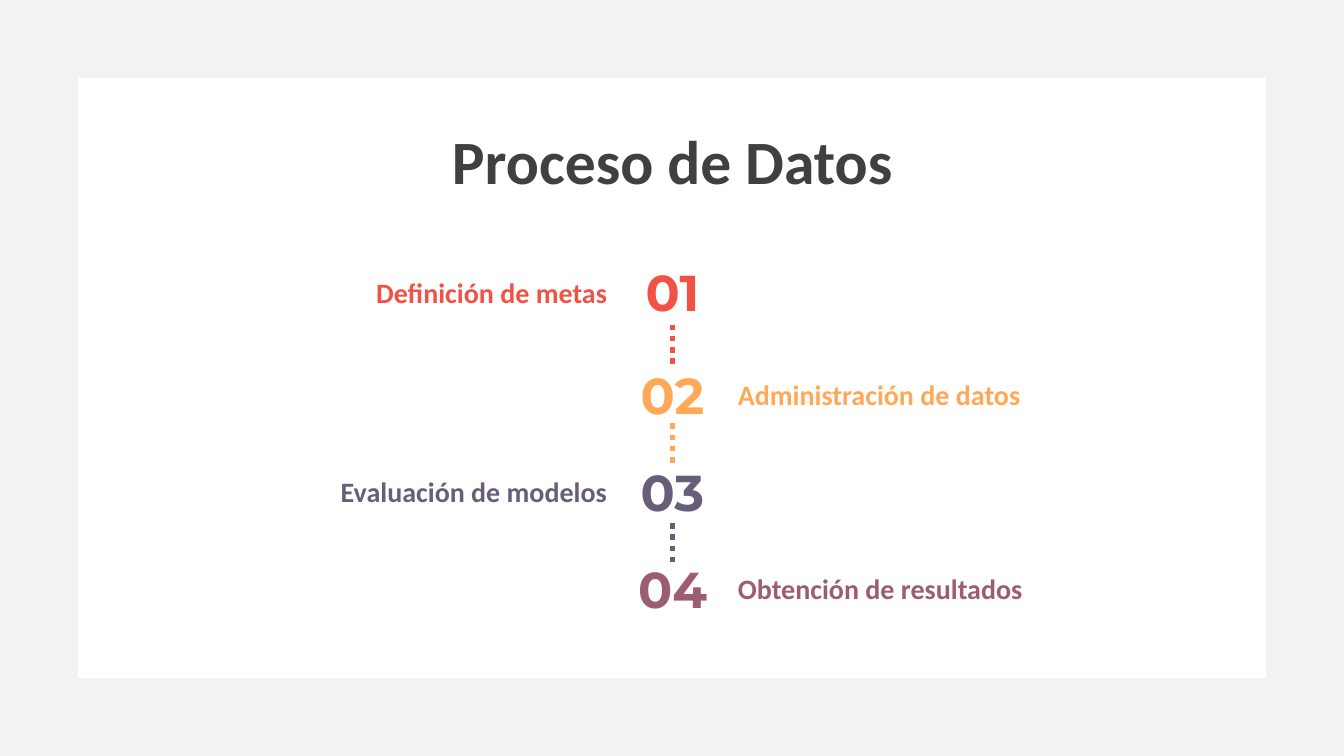
from dataclasses import dataclass

from pptx import Presentation
from pptx.dml.color import RGBColor
from pptx.enum.dml import MSO_LINE
from pptx.enum.shapes import MSO_CONNECTOR, MSO_SHAPE
from pptx.enum.text import MSO_ANCHOR, PP_ALIGN
from pptx.oxml.ns import qn
from pptx.util import Inches, Pt
from lxml.etree import SubElement


@dataclass(frozen=True)
class Theme:
    frame: str = "F2F2F2"
    title: str = "404040"
    red: str = "F25245"
    orange: str = "FFA956"
    violet: str = "695E78"
    plum: str = "9C5D71"
    text_font: str = "Calibri"
    number_font: str = "Montserrat"
    title_size: int = 44
    number_size: int = 36
    label_size: int = 20
    dot_width: int = 4


THEME = Theme()
SLIDE_WIDTH, SLIDE_HEIGHT = 13.33, 7.5
AXIS = 6.67
NUMBER_WIDTH, NUMBER_HEIGHT = 1.1, 0.71
LABEL_HEIGHT = 0.44
LINK_LENGTH = 0.4

# Label, colour, middle of the row, label width, top of the link below
STEPS = [
    ("Definición de metas", THEME.red, 2.9, 2.88, 3.22),
    ("Administración de datos", THEME.orange, 3.92, 3.12, 4.2),
    ("Evaluación de modelos", THEME.violet, 4.88, 3.23, 5.19),
    ("Obtención de resultados", THEME.plum, 5.84, 3.12, None),
]


def set_text(shape, text, font_name, size, color, alignment):
    frame = shape.text_frame
    frame.text = text
    frame.word_wrap = True
    frame.vertical_anchor = MSO_ANCHOR.TOP
    paragraph = frame.paragraphs[0]
    paragraph.alignment = alignment
    font = paragraph.font
    font.name, font.size, font.bold = font_name, Pt(size), True
    font.color.rgb = RGBColor.from_string(color)


def add_frame(slide):
    shape = slide.shapes.add_shape(
        MSO_SHAPE.FRAME, 0, 0, Inches(SLIDE_WIDTH), Inches(SLIDE_HEIGHT))
    shape.adjustments[0] = 0.103
    shape.shadow.inherit = False
    shape.fill.solid()
    shape.fill.fore_color.rgb = RGBColor.from_string(THEME.frame)
    shape.line.fill.background()
    # Send behind the title
    slide.shapes.element.insert(2, shape.element)


def set_title(slide, text):
    title = slide.shapes.title
    title.left, title.top = Inches(4.27), Inches(1.17)
    title.width, title.height = Inches(4.8), Inches(0.84)
    set_text(title, text, THEME.text_font, THEME.title_size, THEME.title,
             PP_ALIGN.CENTER)


def add_number(slide, number, middle, color):
    box = slide.shapes.add_textbox(
        Inches(AXIS - NUMBER_WIDTH / 2), Inches(middle - NUMBER_HEIGHT / 2),
        Inches(NUMBER_WIDTH), Inches(NUMBER_HEIGHT))
    set_text(box, f"{number:02d}", THEME.number_font, THEME.number_size,
             color, PP_ALIGN.CENTER)


def add_label(slide, text, middle, width, color, on_left):
    if on_left:
        left, alignment = AXIS - NUMBER_WIDTH / 2 - width, PP_ALIGN.RIGHT
    else:
        left, alignment = AXIS + NUMBER_WIDTH / 2, PP_ALIGN.LEFT
    box = slide.shapes.add_textbox(
        Inches(left), Inches(middle - LABEL_HEIGHT / 2),
        Inches(width), Inches(LABEL_HEIGHT))
    set_text(box, text, THEME.text_font, THEME.label_size, color, alignment)


def add_link(slide, top, color):
    connector = slide.shapes.add_connector(
        MSO_CONNECTOR.STRAIGHT, Inches(AXIS), Inches(top),
        Inches(AXIS), Inches(top + LINK_LENGTH))
    connector.line.color.rgb = RGBColor.from_string(color)
    connector.line.width = Pt(THEME.dot_width)
    connector.line.dash_style = MSO_LINE.ROUND_DOT
    SubElement(connector.element.spPr, qn("a:effectLst"))


def main():
    presentation = Presentation()
    presentation.slide_width = Inches(SLIDE_WIDTH)
    presentation.slide_height = Inches(SLIDE_HEIGHT)
    slide = presentation.slides.add_slide(presentation.slide_layouts[5])

    # Background frame and title
    add_frame(slide)
    set_title(slide, "Proceso de Datos")

    # Steps, with labels on alternating sides
    for number, (text, color, middle, width, link_top) in enumerate(STEPS, 1):
        add_number(slide, number, middle, color)
        add_label(slide, text, middle, width, color, on_left=number % 2 == 1)
        if link_top is not None:
            add_link(slide, link_top, color)

    presentation.save("out.pptx")


if __name__ == "__main__":
    main()
